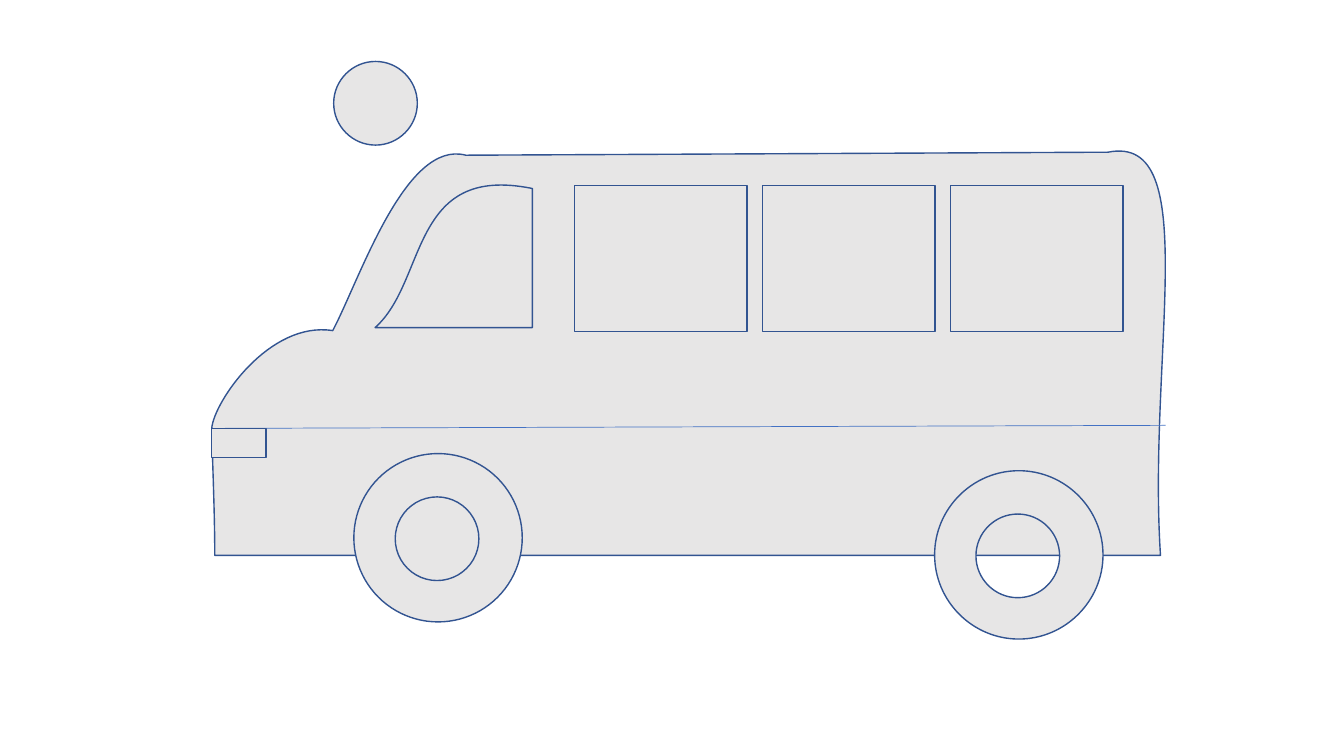
"""Build a slide showing a side view of a van."""
from dataclasses import dataclass

from lxml.etree import SubElement
from pptx import Presentation
from pptx.dml.color import RGBColor
from pptx.enum.shapes import MSO_CONNECTOR, MSO_SHAPE as Shape
from pptx.oxml.ns import qn
from pptx.shapes.autoshape import Shape as AutoShape
from pptx.slide import Slide
from pptx.util import Inches, Pt

Point = tuple[float, float]


@dataclass(frozen=True)
class Theme:
    fill: RGBColor = RGBColor(0xE7, 0xE6, 0xE6)
    outline: RGBColor = RGBColor(0x32, 0x54, 0x91)
    trim: RGBColor = RGBColor(0x44, 0x72, 0xC4)
    outline_pt: float = 1
    trim_pt: float = 0.5


@dataclass(frozen=True)
class Box:
    left: float
    top: float
    width: float
    height: float


@dataclass(frozen=True)
class Part:
    kind: Shape
    box: Box


@dataclass(frozen=True)
class Loop:
    start: Point
    segments: tuple[tuple[Point, ...], ...]


@dataclass(frozen=True)
class Outline:
    box: Box
    loops: tuple[Loop, ...]


def circle(left: float, top: float, size: float) -> Loop:
    """Return a circle as four curves, clockwise from the top."""
    r = size / 2
    cx, cy, k = left + r, top + r, 0.55 * r
    quarters = []
    for dx, dy in ((0, -1), (1, 0), (0, 1), (-1, 0)):
        ex, ey = -dy, dx
        quarters.append(((cx + dx * r + ex * k, cy + dy * r + ey * k),
                         (cx + ex * r + dx * k, cy + ey * r + dy * k),
                         (cx + ex * r, cy + ey * r)))
    return Loop((cx, top), tuple(quarters))


THEME = Theme()
WHEEL, HUB = 1.67, 0.83
WINDOW_LEFT, WINDOW_STEP = 5.7, 1.865

BODY = Outline(Box(2.1, 1.5, 9.45, 4.01), (Loop((4.62, 1.54), (
    ((10.99, 1.51),),
    ((11.94, 1.32), (11.38, 3.52), (11.51, 5.51)),
    ((2.13, 5.51),),
    ((2.13, 5.09), (2.11, 4.67), (2.1, 4.25)),
    ((2.12, 3.99), (2.67, 3.18), (3.3, 3.28)),
    ((3.57, 2.77), (4.02, 1.38), (4.62, 1.54)),
)),))
CAB_WINDOW = Outline(Box(3.72, 1.84, 1.55, 1.42), (Loop((3.72, 3.25), (
    ((4.24, 2.79), (4.06, 1.62), (5.28, 1.87)),
    ((5.28, 3.25),),
    ((3.72, 3.25),),
)),))
BALL = Outline(Box(3.31, 0.61, HUB, HUB), (circle(3.31, 0.61, HUB),))
REAR_WHEEL = Outline(Box(9.27, 4.67, WHEEL, WHEEL),
                     (circle(9.27, 4.67, WHEEL), circle(9.68, 5.1, HUB)))
PARTS = (
    *(Part(Shape.RECTANGLE, Box(WINDOW_LEFT + i * WINDOW_STEP, 1.84, 1.71, 1.45))
      for i in range(3)),
    Part(Shape.OVAL, Box(3.51, 4.5, WHEEL, WHEEL)),
    Part(Shape.OVAL, Box(3.92, 4.93, HUB, HUB)),
    Part(Shape.RECTANGLE, Box(2.1, 4.25, 0.54, 0.29)),
)


def style(sp: AutoShape) -> None:
    """Apply the common fill and outline."""
    sp.shadow.inherit = False
    sp.fill.solid()
    sp.fill.fore_color.rgb = THEME.fill
    sp.line.color.rgb = THEME.outline
    sp.line.width = Pt(THEME.outline_pt)


def add_outline(slide: Slide, outline: Outline) -> None:
    """Draw closed loops of straight and curved segments within a box."""
    box = outline.box
    left, top = Inches(box.left), Inches(box.top)
    builder = slide.shapes.build_freeform(left, top)
    builder.add_line_segments(
        [(left + Inches(box.width), top + Inches(box.height))])
    sp = builder.convert_to_shape()
    track = next(sp._element.iter(qn("a:path")))
    for child in list(track):
        track.remove(child)

    def add_command(tag: str, points: tuple[Point, ...]) -> None:
        command = SubElement(track, qn(tag))
        for x, y in points:
            SubElement(command, qn("a:pt"), x=str(Inches(x) - left),
                       y=str(Inches(y) - top))

    for loop in outline.loops:
        add_command("a:moveTo", (loop.start,))
        for segment in loop.segments:
            add_command("a:cubicBezTo" if len(segment) == 3 else "a:lnTo", segment)
        add_command("a:close", ())
    style(sp)


def add_part(slide: Slide, part: Part) -> None:
    """Draw a preset shape."""
    box = part.box
    style(slide.shapes.add_shape(part.kind, Inches(box.left), Inches(box.top),
                                 Inches(box.width), Inches(box.height)))


def add_trim(slide: Slide, start: Point, end: Point) -> None:
    """Draw the thin line along the side."""
    line = slide.shapes.add_connector(
        MSO_CONNECTOR.STRAIGHT, *(Inches(v) for v in (*start, *end)))
    line.line.color.rgb = THEME.trim
    line.line.width = Pt(THEME.trim_pt)
    SubElement(line._element.spPr, qn("a:effectLst"))


def main() -> None:
    """Build and save the slide."""
    prs = Presentation()
    prs.slide_width, prs.slide_height = Inches(13.33), Inches(7.5)
    slide = prs.slides.add_slide(prs.slide_layouts[6])
    add_outline(slide, BODY)
    add_trim(slide, (2.1, 4.25), (11.56, 4.22))
    add_outline(slide, CAB_WINDOW)
    for part in PARTS:
        add_part(slide, part)
    add_outline(slide, BALL)
    add_outline(slide, REAR_WHEEL)
    prs.save("out.pptx")


if __name__ == "__main__":
    main()
